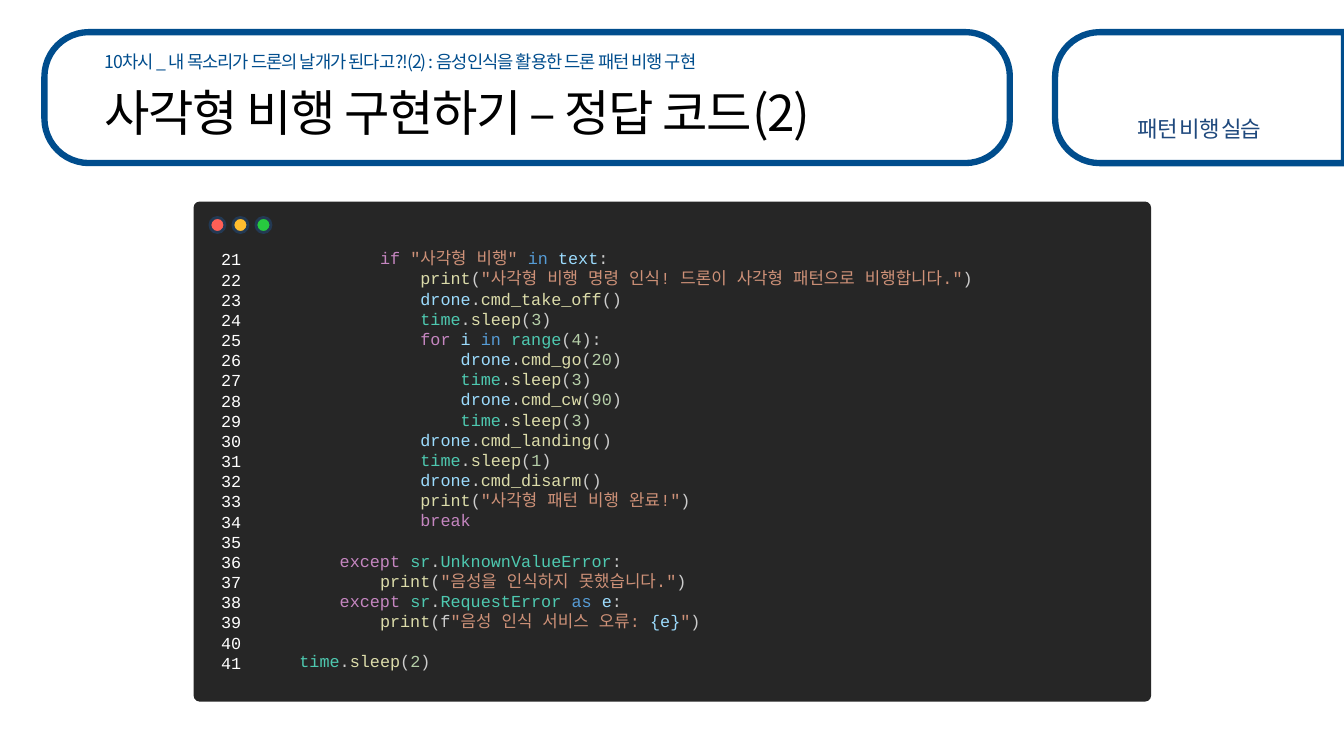
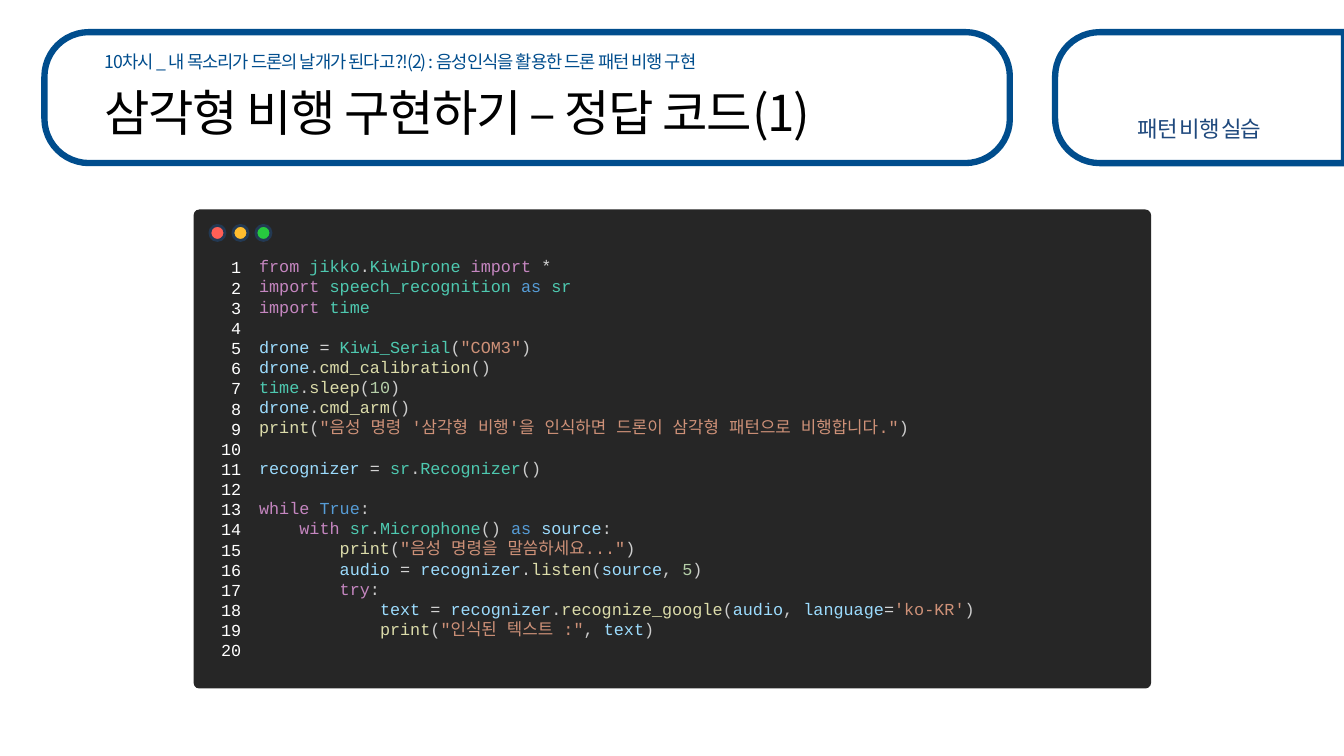
from itertools import groupby

from lxml import etree
from pptx import Presentation
from pptx.dml.color import RGBColor
from pptx.enum.shapes import MSO_SHAPE
from pptx.enum.text import PP_ALIGN
from pptx.oxml.ns import qn
from pptx.util import Cm, Pt

HUE = {
    "paper": "FFFFFF", "frame": "004D8D", "title": "000000", "tag": "1F497D",
    "panel": "262626", "ring": "233953",
    "red": "FF5F56", "amber": "FFBD2E", "green": "27C93F",
    "number": "FFFFFF", "plain": "CCCCCC", "sign": "D4D4D4", "flow": "C586C0",
    "word": "569CD6", "type": "4EC9B0", "call": "DCDCAA", "name": "9CDCFE",
    "text": "CE9178", "digit": "B5CEA8",
}
SANS, MONO = "Noto Sans CJK KR", "Courier New"
FLOW = set("from import while with try if for except break".split())
WORD = {"in", "as", "True"}
TYPE = set("jikko KiwiDrone speech_recognition sr time Kiwi_Serial Recognizer "
           "Microphone range UnknownValueError RequestError".split())

LESSON = [("10차시 _ ", -1),
          ("내 목소리가 드론의 날개가 된다고?!(2) : 음성인식을 활용한 드론 패턴 비행 구현", -0.7)]
TAG = "패턴 비행 실습"

SQUARE = '''            if "사각형 비행" in text:
                print("사각형 비행 명령 인식! 드론이 사각형 패턴으로 비행합니다.")
                drone.cmd_take_off()
                time.sleep(3)
                for i in range(4):
                    drone.cmd_go(20)
                    time.sleep(3)
                    drone.cmd_cw(90)
                    time.sleep(3)
                drone.cmd_landing()
                time.sleep(1)
                drone.cmd_disarm()
                print("사각형 패턴 비행 완료!")
                break

        except sr.UnknownValueError:
            print("음성을 인식하지 못했습니다.")
        except sr.RequestError as e:
            print(f"음성 인식 서비스 오류: {e}")

    time.sleep(2)'''

TRIANGLE = '''from jikko.KiwiDrone import *
import speech_recognition as sr
import time

drone = Kiwi_Serial("COM3")
drone.cmd_calibration()
time.sleep(10)
drone.cmd_arm()
print("음성 명령 '삼각형 비행'을 인식하면 드론이 삼각형 패턴으로 비행합니다.")

recognizer = sr.Recognizer()

while True:
    with sr.Microphone() as source:
        print("음성 명령을 말씀하세요...")
        audio = recognizer.listen(source, 5)
        try:
            text = recognizer.recognize_google(audio, language='ko-KR')
            print("인식된 텍스트 :", text)
'''


def tint(hue):
    return RGBColor.from_string(HUE[hue])


def add_box(slide, kind, box, fill, line=None, width=0, adj=None):
    shape = slide.shapes.add_shape(kind, *map(Cm, box))
    shape.shadow.inherit = False
    shape.fill.solid()
    shape.fill.fore_color.rgb = tint(fill)
    if line:
        shape.line.color.rgb = tint(line)
        shape.line.width = Pt(width)
    else:
        shape.line.fill.background()
    if adj is not None:
        shape.adjustments[0] = adj
    return shape


def add_frame(slide, box, inset=0.0):
    frame = slide.shapes.add_textbox(*map(Cm, box)).text_frame
    frame.word_wrap = True
    frame.margin_top = frame.margin_bottom = Cm(inset)
    return frame


def style(run, font, size, hue, gap=0):
    """Format a run; gap is the letter spacing in points."""
    run.font.name, run.font.size = font, Pt(size)
    run.font.color.rgb = tint(hue)
    props = run.font._element
    etree.SubElement(props, qn("a:ea")).set("typeface", font)
    if gap:
        props.set("spc", str(round(gap * 100)))


def add_label(slide, box, parts, size, hue, align=PP_ALIGN.LEFT, lead=1.0):
    """Write one line of (text, letter spacing) parts."""
    para = add_frame(slide, box).paragraphs[0]
    para.alignment, para.line_spacing = align, lead
    for text, gap in parts:
        run = para.add_run()
        run.text = text
        style(run, SANS, size, hue, gap)


def add_head(slide, title):
    x, y, wide, high = 1.12, 0.81, 24.33, 3.3
    add_box(slide, MSO_SHAPE.ROUNDED_RECTANGLE, (x, y, wide, high),
            "paper", "frame", 4.5, 0.34)
    add_label(slide, (x + 1.27, y + 0.53, 21.87, 0.8), LESSON, 12.6, "frame", lead=0.9)
    add_label(slide, (x + 1.27, y + 1.25, 21.87, 1.5), [(title, -1)], 35.3, "title")

    x, wide = 26.59, 7.28
    # A quarter turn puts the two round corners on the left.
    shift = (wide - high) / 2
    tab = add_box(slide, MSO_SHAPE.ROUND_2_SAME_RECTANGLE,
                  (x + shift, y - shift, high, wide), "paper", "frame", 4.5, 0.34)
    tab.rotation = 270
    add_label(slide, (x + 1.5, y + 2.09, 4.29, 1), [(TAG, -1)], 16, "tag", PP_ALIGN.CENTER)


def split_text(line):
    """Yield (piece, quoted) for the parts in and out of quotes."""
    piece, quote = "", ""
    for char in line:
        if quote:
            piece += char
            if char == quote:
                yield piece, True
                piece, quote = "", ""
        elif char in "\"'":
            yield piece, False
            piece, quote = char, char
        else:
            piece += char
    yield piece, False


def pick(token, after):
    """Choose the colour of a token from itself and what follows it."""
    if token in FLOW:
        return "flow"
    if token in WORD:
        return "word"
    if token in TYPE:
        return "type"
    if token.isdigit():
        return "digit"
    if token in "=*":
        return "sign"
    if token == "f" or not token.isidentifier():
        return "plain"
    return "call" if after.startswith("(") else "name"


def paint(line):
    """Yield (text, colour) for the tokens of one line of code."""
    for piece, quoted in split_text(line):
        if quoted:
            start, brace, rest = piece.partition("{")
            yield start, "text"
            if brace:
                name, end, tail = rest.partition("}")
                yield brace + name + end, "name"
                yield tail, "text"
            continue
        sort = lambda char: "w" if char.isalnum() or char == "_" else " =*".find(char)
        tokens = ["".join(group) for _, group in groupby(piece, sort)]
        for token, after in zip(tokens, tokens[1:] + [""]):
            yield token, pick(token, after)


def add_code(slide, box, lines):
    frame = add_frame(slide, box, 0.13)
    para, blank = frame.paragraphs[0], False
    for spot, line in enumerate(lines):
        if not line:
            blank = True
            continue
        if spot:
            para = frame.add_paragraph()
        para.line_spacing = Pt(14.4)
        if blank:
            para.add_line_break()
            blank = False
        for hue, group in groupby(paint(line), lambda part: part[1]):
            text = "".join(part[0] for part in group)
            if text:
                run = para.add_run()
                run.text = text
                style(run, MONO, 12, hue)


def add_count(slide, box, first, total):
    frame = add_frame(slide, box, 0.13)
    frame.text = "\n".join(str(first + step) for step in range(total))
    for para in frame.paragraphs:
        para.alignment, para.line_spacing = PP_ALIGN.RIGHT, Pt(14.4)
        style(para.runs[0], MONO, 12, "number")


def add_panel(slide, top, high, first, code):
    x, wide = 4.88, 24.13
    add_box(slide, MSO_SHAPE.ROUNDED_RECTANGLE, (x, top, wide, high), "panel", adj=0.012)
    for step, hue in enumerate(("red", "amber", "green")):
        add_box(slide, MSO_SHAPE.OVAL, (x + 0.41 + step * 0.58, top + 0.4, 0.38, 0.38),
                hue, "ring", 2)
    lines = code.split("\n")
    add_code(slide, (x + 1.4, top + 1.04, 21.44, high - 1.2), lines)
    add_count(slide, (x + 0.36, top + 1.07, 1.09, high - 1.2), first, len(lines))


def main():
    deck = Presentation()
    deck.slide_width, deck.slide_height = Cm(33.87), Cm(19.05)
    for title, top, high, first, code in (
        ("사각형 비행 구현하기 – 정답 코드(2)", 5.08, 12.6, 21, SQUARE),
        ("삼각형 비행 구현하기 – 정답 코드(1)", 5.28, 12.07, 1, TRIANGLE),
    ):
        slide = deck.slides.add_slide(deck.slide_layouts[6])
        add_head(slide, title)
        add_panel(slide, top, high, first, code)
    deck.save("out.pptx")


if __name__ == "__main__":
    main()
